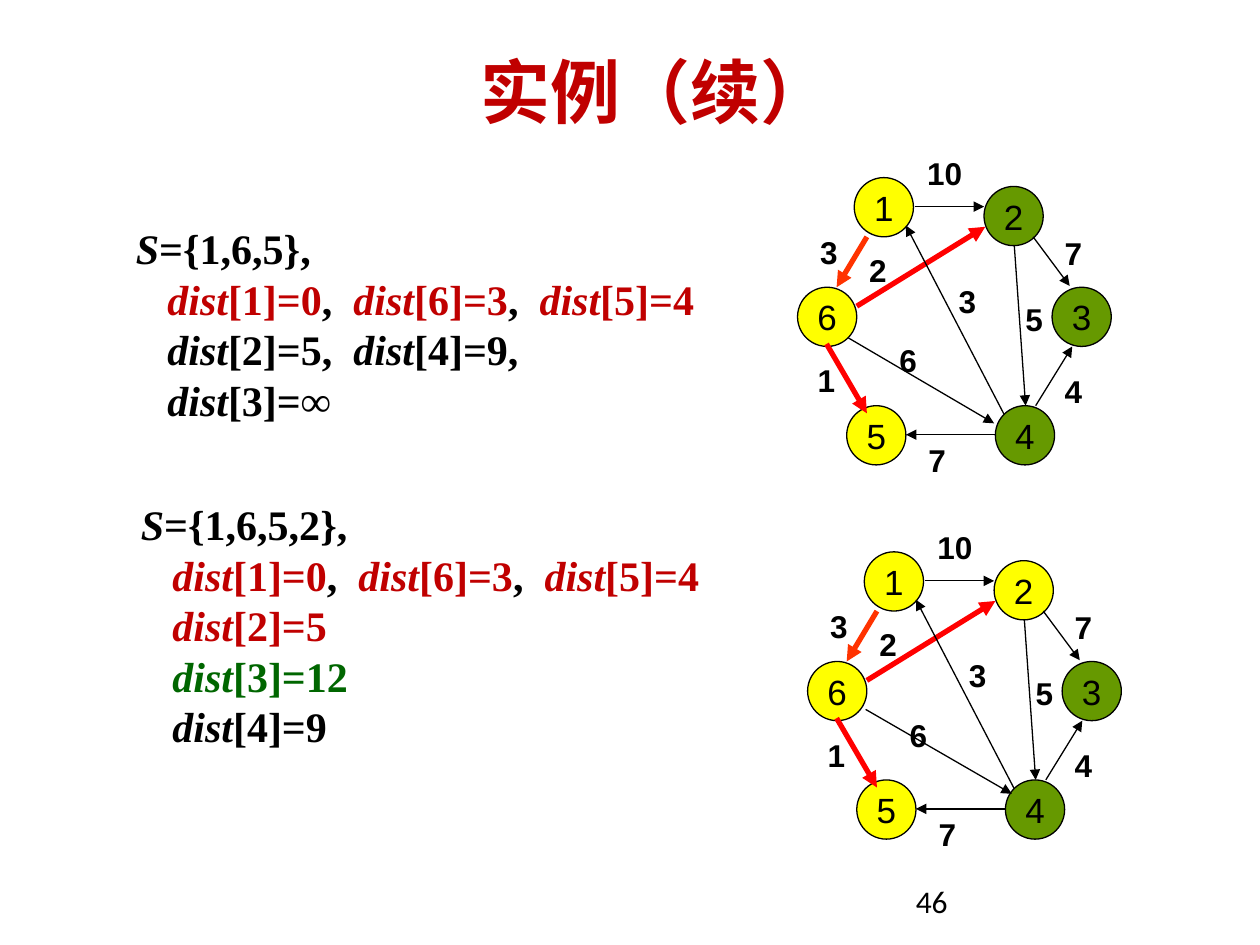
from lxml.etree import SubElement
from pptx import Presentation
from pptx.dml.color import RGBColor
from pptx.enum.shapes import MSO_CONNECTOR, MSO_SHAPE
from pptx.enum.text import MSO_ANCHOR, PP_ALIGN
from pptx.oxml.ns import qn
from pptx.util import Inches, Pt

COLORS = {"black": "000000", "crimson": "C00000", "green": "006600",
          "yellow": "FFFF00", "olive": "669900", "red": "FF0000",
          "orange": "FF3300"}


def rgb(name):
    return RGBColor.from_string(COLORS[name])


def add_text(page, left, top, width, height, text, size, font, color="black", bold=False):
    box = page.shapes.add_textbox(Inches(left), Inches(top), Inches(width), Inches(height))
    frame = box.text_frame
    frame.word_wrap = True
    para = frame.paragraphs[0]
    para.text = text
    para.font.size, para.font.name, para.font.bold = Pt(size), font, bold
    para.font.color.rgb = rgb(color)
    return frame


deck = Presentation()
deck.slide_width, deck.slide_height = Inches(10), Inches(7.5)
page = deck.slides.add_slide(deck.slide_layouts[6])

title = add_text(page, 0.7, 0.37, 9, 0.69, "实例（续）", 40, "Calibri", "crimson", True)
title.vertical_anchor = MSO_ANCHOR.MIDDLE
title.paragraphs[0].alignment = PP_ALIGN.CENTER
add_text(page, 7.17, 6.95, 2.33, 0.4, "46", 18, "Calibri")

# Each step: box, then lines of (italic name, upright rest, colour)
settled = [("dist", "[1]=0", "crimson"), ("", ",  ", "black"),
           ("dist", "[6]=3", "crimson"), ("", ",  ", "black"),
           ("dist", "[5]=4", "crimson")]
steps = [
    ((0.98, 1.72, 4.88, 1.72), [
        [("S", "={1,6,5},", "black")],
        settled,
        [("dist", "[2]=5,  ", "black"), ("dist", "[4]=9,", "black")],
        [("dist", "[3]=∞", "black")]]),
    ((1.02, 3.91, 5, 2.52), [
        [("S", "={1,6,5,2},", "black")],
        settled,
        [("dist", "[2]=5", "crimson")],
        [("dist", "[3]=12", "green")],
        [("dist", "[4]=9", "black")]]),
]
for area, lines in steps:
    frame = add_text(page, *area, "", 24, "Times New Roman")
    for row, line in enumerate(lines):
        para = frame.add_paragraph() if row else frame.paragraphs[0]
        para.line_spacing = Pt(28.8)
        para.font.size, para.font.name, para.font.bold = Pt(24), "Times New Roman", True
        if row:
            para._p.get_or_add_pPr().set("marL", str(Inches(0.25)))
        for name, rest, color in line:
            for text, italic in ((name, True), (rest, False)):
                if text:
                    span = para.add_run()
                    span.text = text
                    span.font.italic = italic
                    span.font.color.rgb = rgb(color)

# Geometry of the upper graph; the lower one is the same, shifted
NODE_SIZE = 0.47
nodes = {1: (6.78, 1.41), 2: (7.81, 1.48), 3: (8.35, 2.28),
         4: (7.9, 3.22), 5: (6.72, 3.22), 6: (6.33, 2.28)}
edges = [  # start, end, colour, width
    ((7.26, 1.64), (7.81, 1.64), "black", 0.75),
    ((6.88, 1.88), (6.64, 2.28), "orange", 3),
    ((8.2, 1.88), (8.49, 2.27), "black", 0.75),
    ((6.56, 2.73), (6.88, 3.28), "red", 3),
    ((7.9, 3.45), (7.19, 3.45), "black", 0.75),
    ((6.8, 2.43), (7.82, 1.8), "red", 3),
    ((8.22, 3.22), (8.51, 2.75), "black", 0.75),
    ((7.97, 3.29), (7.19, 1.79), "black", 0.75),
    ((8.05, 1.95), (8.14, 3.22), "black", 0.75),
]
weights = [("10", 7.26, 1.17), ("3", 6.41, 1.8), ("2", 6.8, 1.94),
           ("7", 8.35, 1.81), ("3", 7.51, 2.19), ("5", 8.04, 2.33),
           ("6", 7.04, 2.66), ("1", 6.39, 2.82), ("4", 8.35, 2.9),
           ("7", 7.27, 3.45)]
# Shift, visited nodes, and the edge 6-4, which sits differently in each graph
graphs = [
    (0, 0, {1, 5, 6}, ((6.73, 2.68), (7.89, 3.36))),
    (0.08, 2.97, {1, 2, 5, 6}, ((6.79, 2.66), (7.95, 3.33))),
]
for dx, dy, visited, long_edge in graphs:
    for number, (left, top) in nodes.items():
        node = page.shapes.add_shape(MSO_SHAPE.OVAL, Inches(left + dx), Inches(top + dy),
                                     Inches(NODE_SIZE), Inches(NODE_SIZE))
        node.shadow.inherit = False
        node.fill.solid()
        node.fill.fore_color.rgb = rgb("yellow" if number in visited else "olive")
        node.line.color.rgb = rgb("black")
        node.line.width = Pt(0.75)
        node.text_frame.word_wrap = False
        node.text_frame.vertical_anchor = MSO_ANCHOR.MIDDLE
        para = node.text_frame.paragraphs[0]
        para.text = str(number)
        para.alignment = PP_ALIGN.CENTER
        para.font.size, para.font.name = Pt(20), "Arial"
        para.font.color.rgb = rgb("black")

    for (x1, y1), (x2, y2), color, width in edges + [(*long_edge, "black", 0.75)]:
        edge = page.shapes.add_connector(MSO_CONNECTOR.STRAIGHT,
                                         Inches(x1 + dx), Inches(y1 + dy),
                                         Inches(x2 + dx), Inches(y2 + dy))
        edge.line.color.rgb = rgb(color)
        edge.line.width = Pt(width)
        SubElement(edge.line._get_or_add_ln(), qn("a:tailEnd"), type="triangle")
        SubElement(edge._element.spPr, qn("a:effectLst"))

    for weight, left, top in weights:
        add_text(page, left + dx, top + dy, 0.55, 0.4, weight, 18, "Arial", bold=True)

deck.save("out.pptx")
